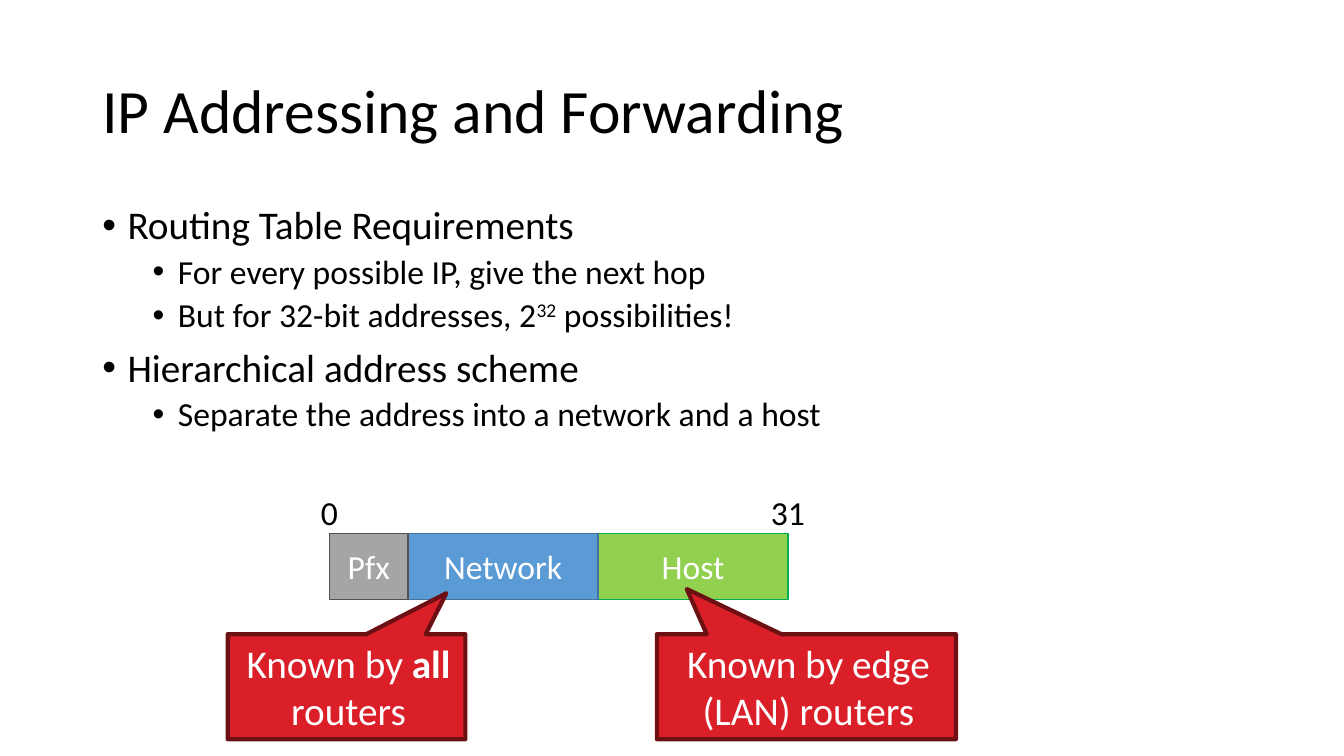
from dataclasses import dataclass
from itertools import accumulate

from lxml import etree
from pptx import Presentation
from pptx import util as u
from pptx.dml import color
from pptx.enum import shapes, text
from pptx.oxml import ns

COLS, ROWS = 160, 90


@dataclass(frozen=True)
class Theme:
    font: str = "Calibri"
    ink: str = "000000"
    pale: str = "FFFFFF"
    red: str = "DA1F28"
    dark_red: str = "6D1014"
    title: int = 44
    large: int = 28
    small: int = 24


@dataclass(frozen=True)
class Box:
    """A place on the slide, in grid columns and rows."""
    left: float
    top: float
    wide: float
    high: float


@dataclass(frozen=True)
class Run:
    words: str
    bold: bool = False
    raised: bool = False


@dataclass(frozen=True)
class Point:
    level: int
    runs: tuple[Run, ...]


@dataclass(frozen=True)
class Field:
    name: str
    wide: float
    fill: str
    line: str


@dataclass(frozen=True)
class Callout:
    box: Box
    tip: tuple[float, float]
    runs: tuple[Run, ...]


THEME = Theme()
TITLE = Box(11, 4.8, 138, 17.4)
BODY = Box(11, 23.9, 116, 35.6)
POINTS = (
    Point(0, (Run("Routing Table Requirements"),)),
    Point(1, (Run("For every possible IP, give the next hop"),)),
    Point(1, (Run("But for 32-bit addresses, 2"), Run("32", raised=True),
              Run(" possibilities!"))),
    Point(0, (Run("Hierarchical address scheme"),)),
    Point(1, (Run("Separate the address into a network and a host"),)),
)
FIELDS = (
    Field("Pfx", 9.4, "A5A5A5", "525252"),
    Field("Network", 22.6, "5B9BD5", "43739E"),
    Field("Host", 22.6, "92D050", "00B050"),
)
FIELD_LEFT, FIELD_TOP, FIELD_HIGH = 39.2, 63.5, 7.9
MARK_TOP, MARK_WIDE = 57, 7.8
CALLOUTS = (
    Callout(Box(27.1, 75.5, 28.3, 12.5), (0.42, -0.89),
            (Run("Known by "), Run("all", bold=True), Run(" routers"))),
    Callout(Box(78.2, 75.5, 35.6, 12.5), (-0.4, -0.93),
            (Run("Known by edge (LAN) routers"),)),
)

deck = Presentation()
deck.slide_width, deck.slide_height = u.Inches(13.33), u.Inches(7.5)
slide = deck.slides.add_slide(deck.slide_layouts[6])


def place(box: Box) -> tuple[int, int, int, int]:
    """Turn grid lengths into slide lengths."""
    col, row = deck.slide_width / COLS, deck.slide_height / ROWS
    return (round(box.left * col), round(box.top * row),
            round(box.wide * col), round(box.high * row))


def write(para, runs: tuple[Run, ...], size: int, ink: str) -> None:
    for part in runs:
        run = para.add_run()
        run.text = part.words
        run.font.name = THEME.font
        run.font.size = u.Pt(size)
        run.font.bold = part.bold
        run.font.color.rgb = color.RGBColor.from_string(ink)
        if part.raised:
            run.font._element.set("baseline", "30000")


def center(frame, runs: tuple[Run, ...], size: int, ink: str) -> None:
    frame.word_wrap = True
    frame.paragraphs[0].alignment = text.PP_ALIGN.CENTER
    write(frame.paragraphs[0], runs, size, ink)


def add_frame(box: Box, anchor=text.MSO_ANCHOR.MIDDLE):
    frame = slide.shapes.add_textbox(*place(box)).text_frame
    frame.word_wrap = True
    frame.vertical_anchor = anchor
    return frame


def add_shape(kind, box: Box, fill: str, line: str, width: float):
    shape = slide.shapes.add_shape(kind, *place(box))
    shape.shadow.inherit = False
    shape.fill.solid()
    shape.fill.fore_color.rgb = color.RGBColor.from_string(fill)
    shape.line.color.rgb = color.RGBColor.from_string(line)
    shape.line.width = u.Pt(width)
    return shape


def add_point(para, point: Point) -> None:
    para.level = point.level
    para.line_spacing = 0.9
    para.space_before = u.Pt(5 if point.level else 10)
    props = para._p.get_or_add_pPr()
    props.set("marL", str(u.Inches(0.25 + 0.5 * point.level)))
    props.set("indent", str(u.Inches(-0.25)))
    etree.SubElement(props, ns.qn("a:buFont")).set("typeface", "Arial")
    etree.SubElement(props, ns.qn("a:buChar")).set("char", "•")
    write(para, point.runs, THEME.small if point.level else THEME.large, THEME.ink)


def add_title() -> None:
    para = add_frame(TITLE).paragraphs[0]
    para.line_spacing = 0.9
    write(para, (Run("IP Addressing and Forwarding"),), THEME.title, THEME.ink)


def add_body() -> None:
    frame = add_frame(BODY, text.MSO_ANCHOR.TOP)
    for num, point in enumerate(POINTS):
        add_point(frame.add_paragraph() if num else frame.paragraphs[0], point)


def add_fields() -> None:
    """Draw the address bar from right to left, then mark its end bits."""
    edges = list(accumulate((f.wide for f in FIELDS), initial=FIELD_LEFT))
    for left, field in reversed(list(zip(edges, FIELDS))):
        box = Box(left, FIELD_TOP, field.wide, FIELD_HIGH)
        shape = add_shape(shapes.MSO_SHAPE.RECTANGLE, box, field.fill, field.line, 1)
        center(shape.text_frame, (Run(field.name),), THEME.small, THEME.pale)
    for edge, bit in ((edges[0], "0"), (edges[-1], "31")):
        box = Box(edge - MARK_WIDE / 2, MARK_TOP, MARK_WIDE, FIELD_HIGH)
        center(add_frame(box), (Run(bit),), THEME.small, THEME.ink)


def add_callout(note: Callout) -> None:
    shape = add_shape(shapes.MSO_SHAPE.RECTANGULAR_CALLOUT, note.box,
                      THEME.red, THEME.dark_red, 3)
    shape.adjustments[0], shape.adjustments[1] = note.tip
    frame = shape.text_frame
    frame.vertical_anchor = text.MSO_ANCHOR.TOP
    frame.margin_left, frame.margin_right = u.Inches(0.12), u.Inches(0.08)
    center(frame, note.runs, THEME.large, THEME.pale)


def main() -> None:
    add_title()
    add_body()
    add_fields()
    for note in CALLOUTS:
        add_callout(note)
    deck.save("out.pptx")


if __name__ == "__main__":
    main()
